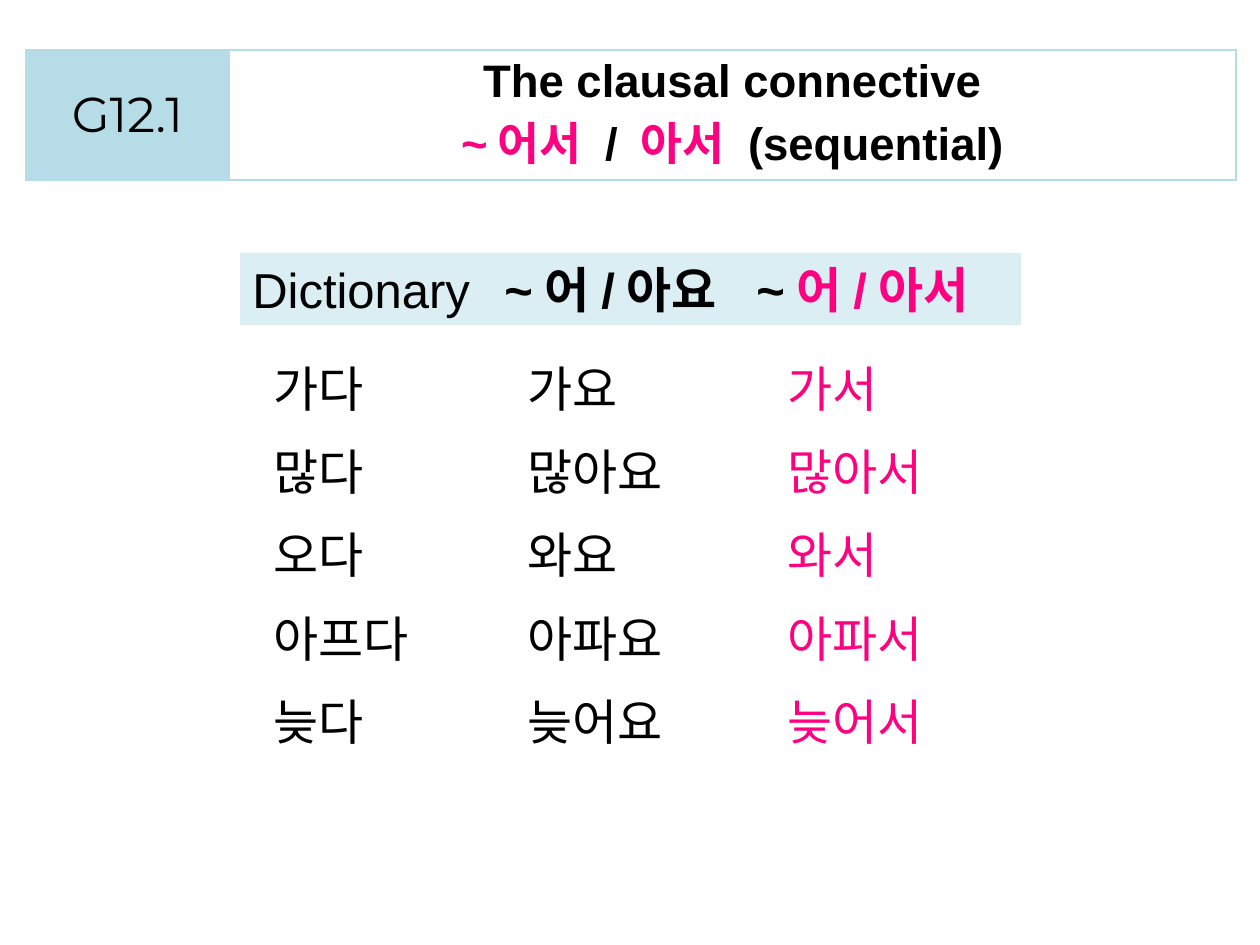
from lxml.etree import SubElement
from pptx import Presentation
from pptx.dml.color import RGBColor
from pptx.enum.shapes import MSO_SHAPE as Shape
from pptx.enum.text import MSO_ANCHOR as Anchor, MSO_AUTO_SIZE as AutoSize, PP_ALIGN as Align
from pptx.oxml.ns import qn
from pptx.util import Pt

PX = 914400 // 126
COLORS = {"ink": "000000", "pink": "FF0080", "sky": "B6DDE7", "pale": "DBEEF4"}

LESSON = [[("G12.1", "ink")]]
TITLE = [
    [("The clausal connective", "ink")],
    [("~어서 ", "pink"), ("/ ", "ink"), ("아서 ", "pink"), ("(sequential)", "ink")],
]
HEADING = [("Dictionary", "ink", False), ("\t~어/아요\t~", "ink", True), ("어/아서", "pink", True)]
WORD_COLUMNS = [
    (261, "ink", ["가다", "많다", "오다", "아프다", "늦다"]),
    (515, "ink", ["가요", "많아요", "와요", "아파요", "늦어요"]),
    (775, "pink", ["가서", "많아서", "와서", "아파서", "늦어서"]),
]
BANNER = (26, 50, 1210, 130)
BANNER_COLUMNS = (203, 1007)
HEADING_BAR = (240, 253, 781, 72)
WORDS_TOP, WORDS_WIDTH, WORDS_HEIGHT = 352, 192, 428


def emu(*lengths):
    return [length * PX for length in lengths]


def rgb(name):
    return RGBColor.from_string(COLORS[name])


def write(frame, lines, size=28, font="Arial", bold=False, align=Align.LEFT, gap=0):
    frame.word_wrap = True
    for index, line in enumerate(lines):
        para = frame.paragraphs[0] if index == 0 else frame.add_paragraph()
        para.alignment = align
        if index and gap:
            para.space_before = Pt(gap)
        for text, color, *weight in line:
            span = para.add_run()
            span.text = text
            span.font.name = font
            span.font.size = Pt(size)
            span.font.bold = weight[0] if weight else bold
            span.font.color.rgb = rgb(color)


def add_borders(cell, color):
    properties = cell._tc.get_or_add_tcPr()
    for index, side in enumerate(("lnL", "lnR", "lnT", "lnB")):
        line = properties.makeelement(qn(f"a:{side}"), {"w": str(Pt(1))})
        fill = SubElement(line, qn("a:solidFill"))
        SubElement(fill, qn("a:srgbClr"), val=COLORS[color])
        properties.insert(index, line)


def add_banner(page):
    table = page.shapes.add_table(1, 2, *emu(*BANNER)).table
    table.first_row = table.horz_banding = False
    for column, width in zip(table.columns, BANNER_COLUMNS):
        column.width = width * PX
    lesson, title = table.cell(0, 0), table.cell(0, 1)
    lesson.fill.solid()
    lesson.fill.fore_color.rgb = rgb("sky")
    lesson.vertical_anchor = Anchor.MIDDLE
    title.fill.background()
    for cell in (lesson, title):
        add_borders(cell, "sky")
    write(lesson.text_frame, LESSON, font="Montserrat", align=Align.CENTER)
    write(title.text_frame, TITLE, size=26, bold=True, align=Align.CENTER)


def add_heading(page):
    bar = page.shapes.add_shape(Shape.RECTANGLE, *emu(*HEADING_BAR))
    bar.shadow.inherit = False
    bar.fill.solid()
    bar.fill.fore_color.rgb = rgb("pale")
    bar.line.fill.background()
    bar.text_frame.vertical_anchor = Anchor.TOP
    write(bar.text_frame, [HEADING])


def add_words(page):
    for left, color, words in WORD_COLUMNS:
        box = page.shapes.add_textbox(*emu(left, WORDS_TOP, WORDS_WIDTH, WORDS_HEIGHT))
        write(box.text_frame, [[(word, color)] for word in words], gap=14)
        box.text_frame.auto_size = AutoSize.SHAPE_TO_FIT_TEXT


def main():
    deck = Presentation()
    deck.slide_width, deck.slide_height = emu(1260, 945)
    page = deck.slides.add_slide(deck.slide_layouts[6])
    add_banner(page)
    add_heading(page)
    add_words(page)
    deck.save("out.pptx")


if __name__ == "__main__":
    main()
